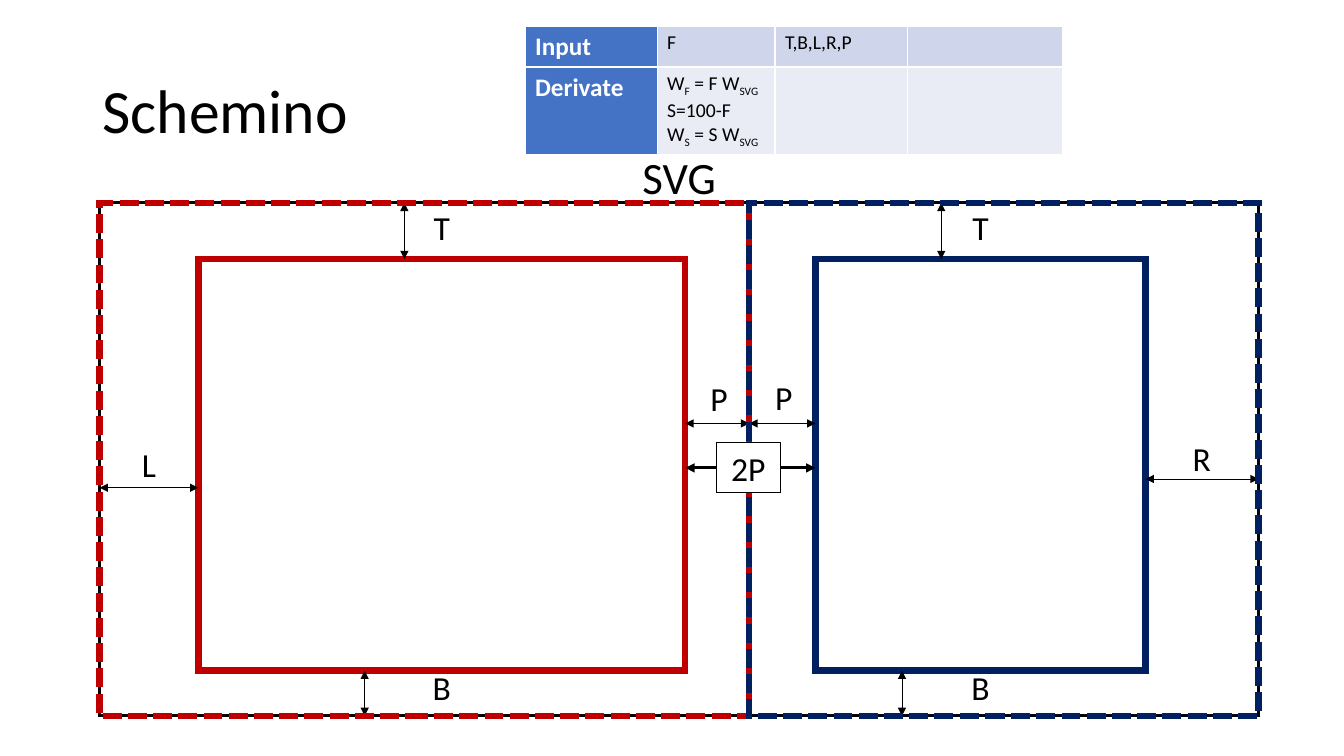
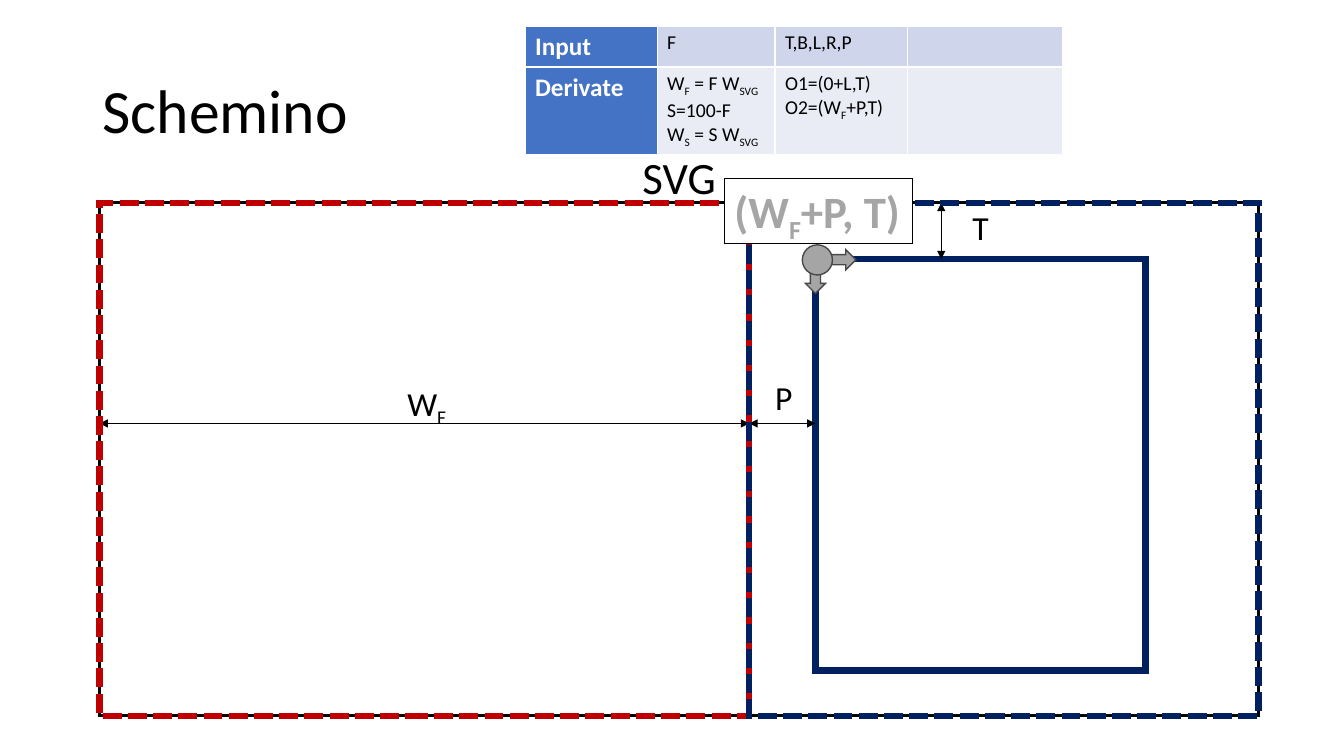
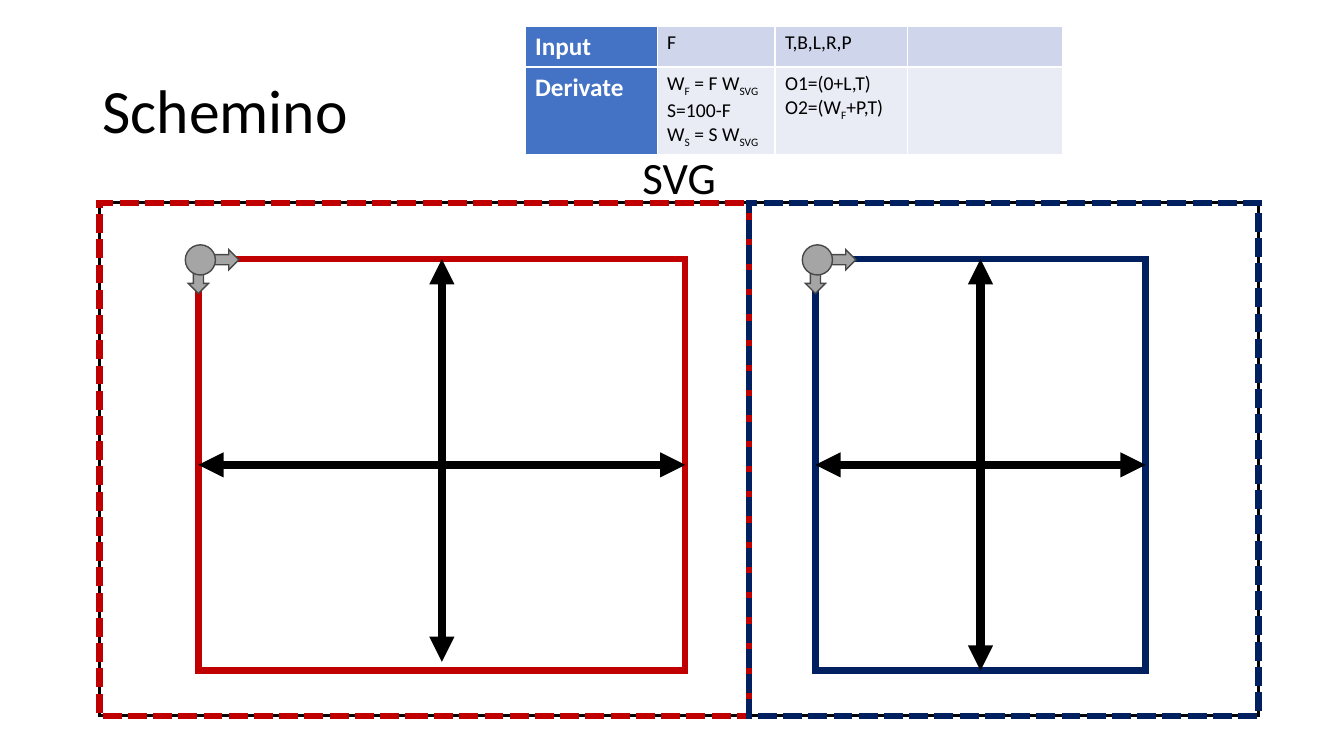
from lxml.etree import SubElement
from pptx import Presentation
from pptx.dml.color import RGBColor
from pptx.enum.dml import MSO_LINE
from pptx.enum.shapes import MSO_CONNECTOR, MSO_SHAPE
from pptx.enum.text import MSO_ANCHOR, MSO_AUTO_SIZE, PP_ALIGN
from pptx.oxml.ns import qn
from pptx.util import Cm, Pt

COLORS = {
    "black": "000000", "white": "FFFFFF", "red": "C00000", "navy": "002060",
    "gray": "A5A5A5", "dark": "484848", "blue": "4472C4",
    "band1": "CFD5EA", "band2": "E9EBF5",
}
FONT = "Calibri"

# Geometry in cm: left, top, width, height
SVG = (2.51, 5.11, 29.21, 12.93)
SPLIT = 18.88
LEFT, TOP = SVG[:2]
RIGHT, BOTTOM = LEFT + SVG[2], TOP + SVG[3]
BOXES = {"red": (5, 6.53, 12.27, 10.37), "navy": (20.55, 6.53, 8.32, 10.37)}
HALVES = {"red": (LEFT, TOP, SPLIT - LEFT, SVG[3]),
          "navy": (SPLIT, TOP, RIGHT - SPLIT, SVG[3])}
(RED_L, BOX_T, RED_W, BOX_H), (NAVY_L, _, NAVY_W, _) = BOXES.values()
RED_R, NAVY_R, BOX_B = RED_L + RED_W, NAVY_L + NAVY_W, BOX_T + BOX_H
P_Y = 10.67

# Text between tildes is subscript
FORMULAS = "W~F~ = F W~SVG~\nS=100-F\nW~S~ = S W~SVG~"
ORIGINS = "O1=(0+L,T)\nO2=(W~F~+P,T)"
COLUMNS = [3.33, 2.97, 3.33, 3.91]
ROWS = [1.03, 2.1]

# Arrow: x1, y1, x2, y2; label: text, left, top, width
NAVY_T = (23.72, TOP, 23.72, BOX_T), ("T", NAVY_L, 5.08, NAVY_W)
NAVY_P = (SPLIT, P_Y, NAVY_L, P_Y), ("P", 18.95, 9.37, 1.6)
SLIDES = [
    {"boxes": ["red", "navy"], "origins": "", "markers": [],
     "dimensions": [
         ((10.19, TOP, 10.19, BOX_T), ("T", RED_L, 5.08, RED_W)),
         NAVY_T,
         ((9.19, BOX_B, 9.19, BOTTOM), ("B", RED_L, 16.69, RED_W)),
         ((22.73, BOX_B, 22.73, BOTTOM), ("B", NAVY_L, 16.69, NAVY_W)),
         ((LEFT, 12.29, RED_L, 12.29), ("L", LEFT, 11.07, RED_L - LEFT)),
         ((NAVY_R, 12.07, RIGHT, 12.07), ("R", 28.75, 10.92, 3.07)),
         ((RED_R, P_Y, SPLIT, P_Y), ("P", 17.32, 9.4, 1.6)),
         NAVY_P]},
    {"boxes": ["navy"], "origins": ORIGINS, "markers": ["navy"],
     "dimensions": [
         NAVY_T,
         ((LEFT, P_Y, SPLIT, P_Y), ("W~F~", 2.57, 9.52, SPLIT - LEFT)),
         NAVY_P]},
    {"boxes": ["red", "navy"], "origins": ORIGINS, "markers": ["red", "navy"],
     "dimensions": []},
]


def rgb(name):
    return RGBColor.from_string(COLORS[name])


def write(tf, text, size=24, color="black", bold=False, align=PP_ALIGN.CENTER):
    for i, line in enumerate(text.split("\n")):
        p = tf.paragraphs[0] if i == 0 else tf.add_paragraph()
        p.alignment = align
        for j, part in enumerate(line.split("~")):
            if not part:
                continue
            r = p.add_run()
            r.text = part
            r.font.name, r.font.size, r.font.bold = FONT, Pt(size), bold
            r.font.color.rgb = rgb(color)
            if j % 2:
                r.font._element.set("baseline", "-25000")


def add_shape(shapes, at, fill=None, line="black", width=2.25, dash=None,
              kind=MSO_SHAPE.RECTANGLE):
    sp = shapes.add_shape(kind, *map(Cm, at))
    sp.shadow.inherit = False
    if fill:
        sp.fill.solid()
        sp.fill.fore_color.rgb = rgb(fill)
    else:
        sp.fill.background()
    sp.line.color.rgb = rgb(line)
    sp.line.width = Pt(width)
    if dash:
        sp.line.dash_style = dash
    SubElement(sp.line._get_or_add_ln(), qn("a:miter")).set("lim", "800000")
    return sp


def add_label(s, text, left, top, width, height=1.27, **style):
    tf = s.shapes.add_textbox(*map(Cm, (left, top, width, height))).text_frame
    tf.word_wrap = True
    tf.auto_size = MSO_AUTO_SIZE.SHAPE_TO_FIT_TEXT
    write(tf, text, **style)


def add_framed_label(s, text, at, wrap=True, **style):
    sp = add_shape(s.shapes, at, "white", width=0.75)
    tf = sp.text_frame
    tf.word_wrap = wrap
    tf.vertical_anchor = MSO_ANCHOR.TOP
    write(tf, text, **style)


def add_arrow(s, ends, width=0.5):
    """Straight line with a triangle at both ends."""
    cx = s.shapes.add_connector(MSO_CONNECTOR.STRAIGHT, *map(Cm, ends))
    cx.line.color.rgb = rgb("black")
    cx.line.width = Pt(width)
    ln = cx.line._get_or_add_ln()
    for end in ("a:headEnd", "a:tailEnd"):
        SubElement(ln, qn(end)).set("type", "triangle")
    SubElement(cx._element.spPr, qn("a:effectLst"))
    return cx


def add_marker(s, x, y):
    """Origin dot with one arrow along each axis."""
    group = s.shapes.add_group_shape().shapes
    arrow, dot = MSO_SHAPE.RIGHT_ARROW, MSO_SHAPE.OVAL
    for kind, at, turn in [(arrow, (x, y - 0.24, 1.02, 0.51), 0),
                           (arrow, (x - 0.51, y + 0.1, 1.02, 0.51), 90),
                           (dot, (x - 0.33, y - 0.36, 0.76, 0.76), 0)]:
        sp = add_shape(group, at, "gray", "dark", 1, kind=kind)
        sp.rotation = turn


def add_summary(s, origins):
    cells = [["Input", "F", "T,B,L,R,P", ""],
             ["Derivate", FORMULAS, origins, ""]]
    table = s.shapes.add_table(2, 4, Cm(13.23), Cm(0.66), Cm(sum(COLUMNS)),
                               Cm(sum(ROWS))).table
    table.first_row = table.horz_banding = False
    for col, width in zip(table.columns, COLUMNS):
        col.width = Cm(width)
    for i, (row, height) in enumerate(zip(table.rows, ROWS)):
        row.height = Cm(height)
        for j, cell in enumerate(row.cells):
            head = j == 0
            cell.fill.solid()
            cell.fill.fore_color.rgb = rgb("blue" if head else ("band1", "band2")[i])
            write(cell.text_frame, cells[i][j], size=18 if head else 14,
                  color="white" if head else "black", bold=head,
                  align=PP_ALIGN.LEFT)


def add_title(s):
    title = s.shapes.title
    title.left, title.top, title.width, title.height = map(Cm, (2.33, 1.01, 29.21, 3.68))
    tf = title.text_frame
    tf.vertical_anchor = MSO_ANCHOR.MIDDLE
    write(tf, "Schemino", size=44, align=PP_ALIGN.LEFT)
    tf.paragraphs[0].line_spacing = 0.9


def build_slide(prs, content):
    """Scheme common to all slides; returns the slide and its inner boxes."""
    s = prs.slides.add_slide(prs.slide_layouts[5])
    add_title(s)
    add_shape(s.shapes, SVG, "white")
    add_label(s, "SVG", LEFT, 3.66, SVG[2], 1.63, size=32)
    boxes = {name: add_shape(s.shapes, BOXES[name], "white", name, 4.5)
             for name in content["boxes"]}
    for ends, label in content["dimensions"]:
        add_arrow(s, ends)
        add_label(s, *label)
    for name in content["markers"]:
        add_marker(s, *BOXES[name][:2])
    for name, at in HALVES.items():
        add_shape(s.shapes, at, line=name, width=4.5, dash=MSO_LINE.SQUARE_DOT)
    add_summary(s, content["origins"])
    return s, boxes


def add_spans(s, boxes):
    """Thick arrows across the width and height of each box."""
    for name, sp in boxes.items():
        left, top, width, height = BOXES[name]
        mid_x, mid_y = left + width / 2, top + height / 2
        across = add_arrow(s, (left, mid_y, left + width, mid_y), 6)
        across.begin_connect(sp, 1)
        across.end_connect(sp, 3)
        short = 0.22 if name == "red" else 0
        upright = add_arrow(s, (mid_x, top + height - short, mid_x, top), 6)
        if not short:
            upright.begin_connect(sp, 2)
        upright.end_connect(sp, 0)


def main():
    prs = Presentation()
    prs.slide_width, prs.slide_height = Cm(33.87), Cm(19.05)
    (margins, _), (origin, _), (spans, boxes) = [build_slide(prs, c) for c in SLIDES]

    add_arrow(margins, (RED_R, 11.79, NAVY_L, 11.79), 2.25)
    add_framed_label(margins, "2P", (18.06, 11.15, 1.6, 1.27))
    add_framed_label(origin, "(W~F~+P, T)", (18.26, 4.5, 4.75, 1.63), wrap=False,
                     size=32, color="gray", bold=True, align=PP_ALIGN.LEFT)
    add_spans(spans, boxes)
    prs.save("out.pptx")


if __name__ == "__main__":
    main()
